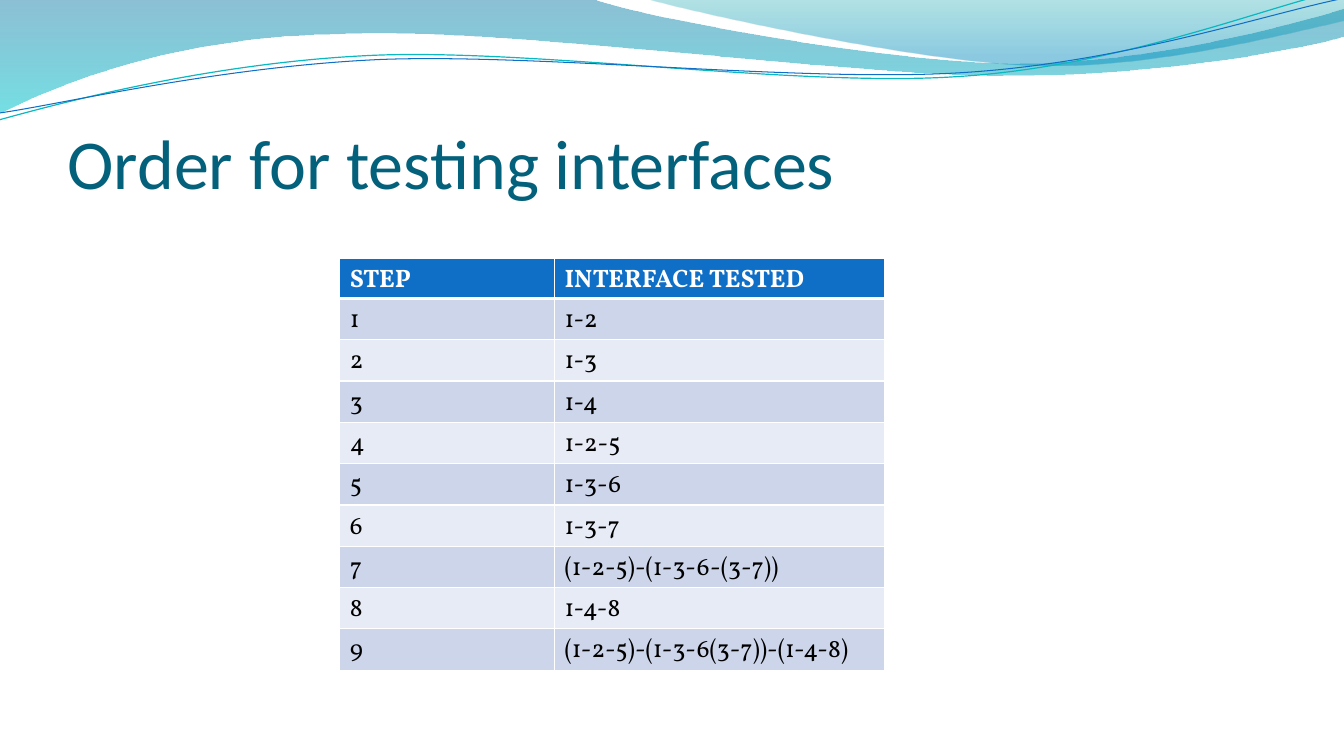
"""Build a slide that lists the order for testing interfaces."""
import math

from lxml import etree
from pptx import Presentation
from pptx import util as u
from pptx.dml.color import RGBColor
from pptx.enum import text
from pptx.oxml import parse_xml
from pptx.oxml.ns import nsdecls, qn

WHITE = RGBColor(0xFF, 0xFF, 0xFF)
BLACK = RGBColor(0, 0, 0)
TITLE_TEAL = RGBColor(0x04, 0x61, 0x7B)
BLUE = RGBColor(0x0F, 0x6F, 0xC6)
CYAN = RGBColor(0x0A, 0xB8, 0xBF)
WAVE_BLUE = RGBColor(0x00, 0x74, 0xA1)
WAVE_CYAN = RGBColor(0x00, 0xC6, 0xCF)
CREST_TEAL = RGBColor(0x00, 0xA1, 0xA9)
CREST_BLUE = RGBColor(0x00, 0x8B, 0xBF)
BANDS = (RGBColor(0xCC, 0xD5, 0xEA), RGBColor(0xE7, 0xEB, 0xF5))

STROKE_TILT = -2.7
STEPS = ["1-2", "1-3", "1-4", "1-2-5", "1-3-6", "1-3-7",
         "(1-2-5)-(1-3-6-(3-7))", "1-4-8", "(1-2-5)-(1-3-6(3-7))-(1-4-8)"]

WAVE = [(0, 0), (5.87, -0.01),
        (6.34, 0.17, 8.85, 0.63, 10.11, 0.63), (11.38, 0.63, 12.78, 0.26, 13.33, 0.09),
        (13.35, 0.36),
        (13.11, 0.44, 11.6, 0.76, 9.94, 0.75), (8.29, 0.75, 5.09, 0.28, 3.43, 0.34),
        (1.72, 0.36, 0.61, 0.83, -0.01, 1.13), (0, 0)]
CREST = [(6.39, -0.01),
         (6.79, 0.11, 9.09, 0.62, 10.25, 0.65), (11.41, 0.69, 12.82, 0.32, 13.33, 0.21),
         (13.33, 0), (6.39, -0.01)]
CYAN_STROKE = [(-0.01, 1.19), (0.64, 1.01, 2.11, 0.62, 3.69, 0.55),
               (5.27, 0.48, 7.9, 0.87, 9.5, 0.76), (11.1, 0.66, 12.52, 0.08, 13.31, -0.1)]
BLUE_STROKE = [(0, 1.12), (0.63, 1.03, 2.18, 0.66, 3.78, 0.59),
               (5.37, 0.53, 7.96, 0.82, 9.55, 0.72), (11.15, 0.62, 12.55, 0.14, 13.34, -0.02)]


def add_outline(slide, box, outline, close):
    """Draw lines and cubic curves relative to the top left corner of the box."""
    points = [(u.Inches(box[0] + part[i]), u.Inches(box[1] + part[i + 1]))
              for part in outline for i in range(0, len(part), 2)]
    builder = slide.shapes.build_freeform(*points[0])
    builder.add_line_segments(points[1:], close=close)
    shape = builder.convert_to_shape()
    shape.shadow.inherit = False
    segments = iter(list(shape._element.iter(qn("a:lnTo"))))
    for part in outline[1:]:
        segment = next(segments)
        if len(part) == 6:
            segment.tag = qn("a:cubicBezTo")
            for control in (next(segments), next(segments)):
                segment.append(control[0])
                control.getparent().remove(control)
    return shape


def add_wave(slide, box, outline, stops):
    """Add a closed wave with a see-through gradient running downwards."""
    wave = add_outline(slide, box, outline, True)
    wave.line.fill.background()
    wave.fill.gradient()
    wave.fill.gradient_angle = 270
    for stop, (position, color, _) in zip(wave.fill.gradient_stops, stops):
        stop.position = position
        stop.color.rgb = color
    tints = wave.fill._xPr.iter(qn("a:srgbClr"))
    for tint, (_, _, opacity) in zip(tints, stops):
        etree.SubElement(tint, qn("a:alpha"), val=str(opacity * 1000))


def turn(part, center, degrees):
    """Turn every point of an outline part about the center."""
    cos, sin = math.cos(math.radians(degrees)), math.sin(math.radians(degrees))
    turned = []
    for i in range(0, len(part), 2):
        x, y = part[i] - center[0], part[i + 1] - center[1]
        turned += [center[0] + x * cos - y * sin, center[1] + x * sin + y * cos]
    return tuple(turned)


def add_stroke(slide, box, outline, color, width):
    """Add an open curve, drawn level and then tilted about the center of the strokes."""
    center = (box[2] / 2, box[3] / 2)
    level = [turn(part, center, -STROKE_TILT) for part in outline]
    stroke = add_outline(slide, box, level, False)
    stroke.rotation = STROKE_TILT
    stroke.fill.background()
    stroke.line.color.rgb = color
    stroke.line.width = u.Pt(width)


def add_header_waves(slide, box):
    """Add the waves and strokes along the top of the slide."""
    add_wave(slide, box, WAVE, [(0, WAVE_BLUE, 45), (1, WAVE_CYAN, 55)])
    add_wave(slide, box, CREST, [(0, CREST_TEAL, 30), (0.8, CREST_BLUE, 45)])
    add_stroke(slide, box, CYAN_STROKE, CYAN, 0.85)
    add_stroke(slide, box, BLUE_STROKE, BLUE, 0.75)


def style_run(paragraph, font_name, size, color, bold=False):
    """Format the only run of a paragraph."""
    font = paragraph.runs[0].font
    font.name, font.size, font.bold = font_name, u.Pt(size), bold
    font.color.rgb = color


def add_title(slide, box):
    """Add the slide title at the bottom of the box."""
    title = slide.shapes.add_textbox(*map(u.Inches, box)).text_frame
    title.word_wrap = True
    title.vertical_anchor = text.MSO_ANCHOR.BOTTOM
    title.margin_left = title.margin_right = title.margin_bottom = 0
    title.margin_top = u.Inches(0.05)
    title.text = "Order for testing interfaces"
    style_run(title.paragraphs[0], "Calibri", 50, TITLE_TEAL)


def set_borders(cell, widths):
    """Give the cell white borders, with widths in points by side."""
    properties = cell._tc.get_or_add_tcPr()
    for side, width in widths.items():
        properties.append(parse_xml(
            f'<a:ln{side} {nsdecls("a")} w="{u.Pt(width)}"><a:solidFill>'
            f'<a:srgbClr val="{WHITE}"/></a:solidFill></a:ln{side}>'))


def add_step_table(slide, box):
    """Add the table of steps, with a header and banded rows."""
    rows = [("STEP", "INTERFACE TESTED")]
    rows += [(str(number), tested) for number, tested in enumerate(STEPS, 1)]
    frame = slide.shapes.add_table(len(rows), 2, *map(u.Inches, box))
    table = frame.table
    for column, width in zip(table.columns, (2.13, box[2] - 2.13)):
        column.width = u.Inches(width)
    for index, values in enumerate(rows):
        header = index == 0
        table.rows[index].height = u.Inches(0.2 if header else 0.41)
        for column, value in enumerate(values):
            cell = table.cell(index, column)
            set_borders(cell, {"L": 1, "R": 1, "T": 3 if index == 1 else 1,
                               "B": 3 if header else 1})
            cell.fill.solid()
            cell.fill.fore_color.rgb = BLUE if header else BANDS[(index - 1) % 2]
            cell.text = value
            style_run(cell.text_frame.paragraphs[0], "Vollkorn", 18,
                      WHITE if header else BLACK, header)
    frame.height = u.Inches(box[3])


def main():
    """Build and save the presentation."""
    deck = Presentation()
    deck.slide_width, deck.slide_height = u.Inches(13.33), u.Inches(7.5)
    slide = deck.slides.add_slide(deck.slide_layouts[6])
    add_header_waves(slide, (0, 0, 13.33, 1.2))
    add_title(slide, (0.67, 0.77, 12, 1.25))
    add_step_table(slide, (3.37, 2.56, 5.4, 4.09))
    deck.save("out.pptx")


if __name__ == "__main__":
    main()
